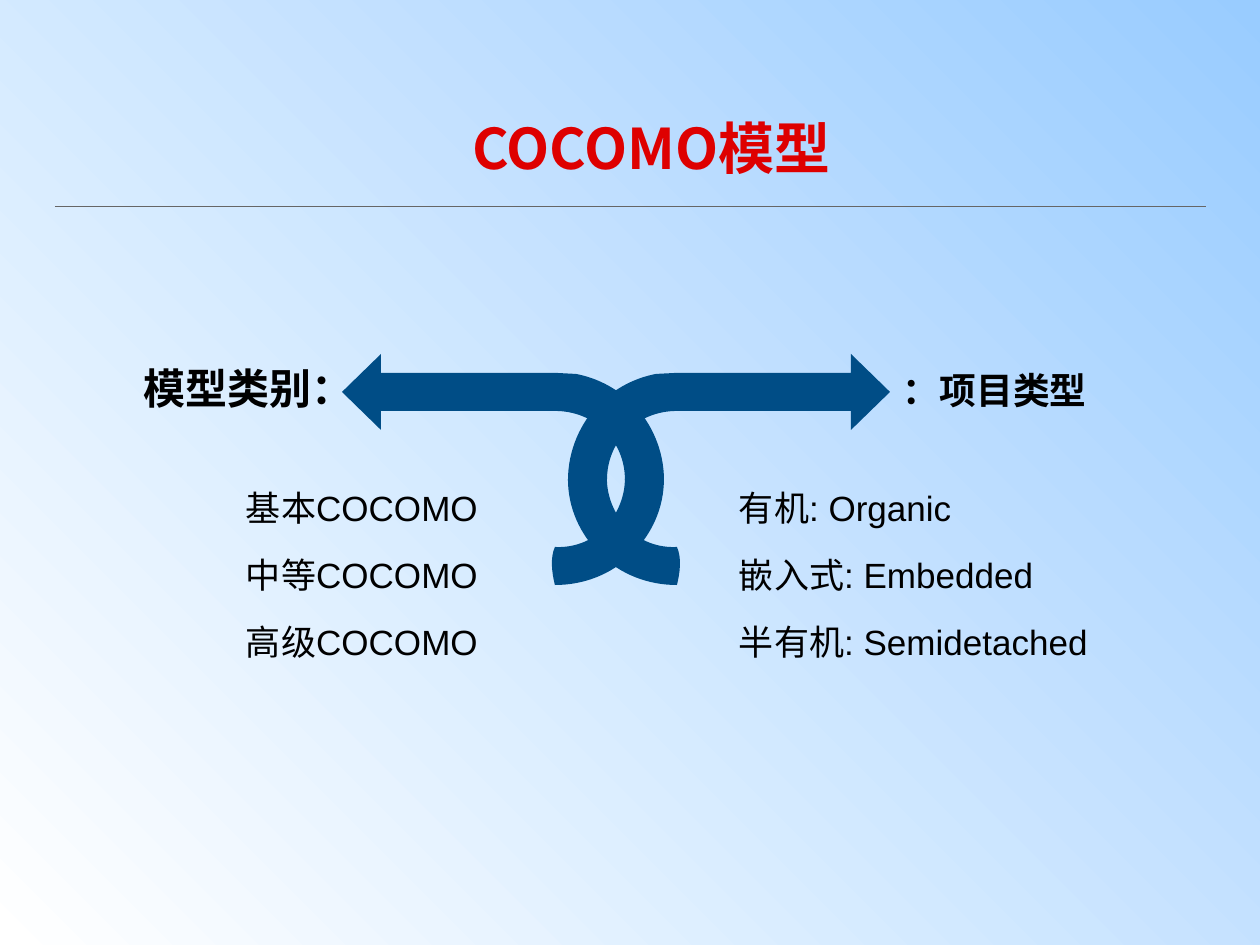
from lxml import etree
from pptx import Presentation
from pptx import util as u
from pptx.dml.color import RGBColor
from pptx.enum import shapes, text
from pptx.oxml import ns

HUES = {"sky": "99CCFF", "white": "FFFFFF", "navy": "004D86",
        "rule": "666666", "ink": "000000", "red": "DE0000"}
SANS, HAN = "Arial", "Noto Sans CJK SC"
AXIS = 616
ARROW = [(851, 354), (890, 392), (851, 430), (851, 411), (677, 411),
         (658, 411, 640, 418, 627, 431), (614, 444, 607, 461, 607, 480),
         (568, 480), (568, 451, 580, 423, 600, 403),
         (616, 388, 635, 378, 656, 374), (675, 373), (851, 373)]
TAIL = [(568, 479), (568, 508, 580, 534, 600, 554),
        (621, 575, 649, 585, 677, 585), (680, 573, 682, 558, 677, 547),
        (658, 548, 640, 541, 627, 528), (614, 514, 607, 496, 607, 479)]


def px(n):
    return u.Emu(round(n * 914400 / 126))


def hue(name):
    return RGBColor.from_string(HUES[name])


class Deck:
    """Holds the style and the current slide."""

    def __init__(self):
        self.prs = Presentation()
        self.prs.slide_width, self.prs.slide_height = px(1260), px(945)
        self.slide = self.prs.slides.add_slide(self.prs.slide_layouts[4])

    def ground(self, top, low):
        fill = self.slide.background.fill
        fill.gradient()
        fill.gradient_angle = 225
        for stop, name in zip(fill.gradient_stops, (top, low)):
            stop.color.rgb = hue(name)

    def rule(self, x, y, end):
        line = self.slide.shapes.add_connector(
            shapes.MSO_CONNECTOR.STRAIGHT, px(x), px(y), px(end), px(y))
        line.line.color.rgb = hue("rule")
        line.line.width = u.Pt(0.5)
        etree.SubElement(line._element.spPr, ns.qn("a:effectLst"))

    def ribbon(self, path, flip=False):
        pts = [(px(2 * AXIS - x if flip else x), px(y))
               for seg in path for x, y in zip(seg[::2], seg[1::2])]
        pen = self.slide.shapes.build_freeform(*pts[0], scale=1.0)
        pen.add_line_segments(pts[1:], close=True)
        shape = pen.convert_to_shape()
        nodes = iter(list(shape._element.iter(ns.qn("a:lnTo"))))
        for seg in path[1:]:
            node = next(nodes)
            if len(seg) == 6:
                curve = etree.Element(ns.qn("a:cubicBezTo"))
                node.addprevious(curve)
                for part in (node, next(nodes), next(nodes)):
                    curve.append(part[0])
                    part.getparent().remove(part)
        shape.shadow.inherit = False
        shape.fill.solid()
        shape.fill.fore_color.rgb = hue("navy")
        shape.line.fill.background()

    def words(self, idx, box, lines, size, bold=False, color="ink", font=SANS,
              inset=(9, 5), mid=True, gap=1.0, align=text.PP_ALIGN.LEFT):
        hold = next(p for p in self.slide.placeholders
                    if p.placeholder_format.idx == idx)
        hold.left, hold.top, hold.width, hold.height = map(px, box)
        frame = hold.text_frame
        frame.word_wrap = True
        frame.auto_size = text.MSO_AUTO_SIZE.NONE
        frame.vertical_anchor = text.MSO_ANCHOR.MIDDLE if mid else text.MSO_ANCHOR.TOP
        frame.margin_left = frame.margin_right = px(inset[0])
        frame.margin_top = frame.margin_bottom = px(inset[1])
        for i, line in enumerate(lines):
            para = frame.add_paragraph() if i else frame.paragraphs[0]
            prop = para._p.get_or_add_pPr()
            prop.set("marL", "0")
            prop.set("indent", "0")
            etree.SubElement(prop, ns.qn("a:buNone"))
            para.alignment, para.line_spacing = align, gap
            para.space_before = u.Pt(0)
            run = para.add_run()
            run.text = line
            run.font.size, run.font.bold = u.Pt(size), bold
            run.font.color.rgb = hue(color)
            run.font.name = font
            etree.SubElement(run._r.get_or_add_rPr(), ns.qn("a:ea"), typeface=HAN)


def main():
    deck = Deck()
    deck.ground("sky", "white")
    deck.rule(55, 206, 1206)
    for path in (ARROW, TAIL):
        for flip in (False, True):
            deck.ribbon(path, flip)
    deck.words(0, (459, 107, 883, 81), ["COCOMO模型"], 32, True, "red", HAN, (13, 6))
    deck.words(1, (135, 346, 325, 83), ["模型类别："], 24, True)
    deck.words(2, (237, 456, 360, 189),
               ["基本COCOMO", "中等COCOMO", "高级COCOMO"], 20, mid=False, gap=1.6)
    deck.words(3, (894, 346, 285, 88), ["：项目类型"], 21, True,
               align=text.PP_ALIGN.JUSTIFY)
    deck.words(4, (730, 456, 388, 149),
               ["有机: Organic", "嵌入式: Embedded", "半有机: Semidetached"],
               20, mid=False, gap=1.6)
    deck.prs.save("out.pptx")


if __name__ == "__main__":
    main()
